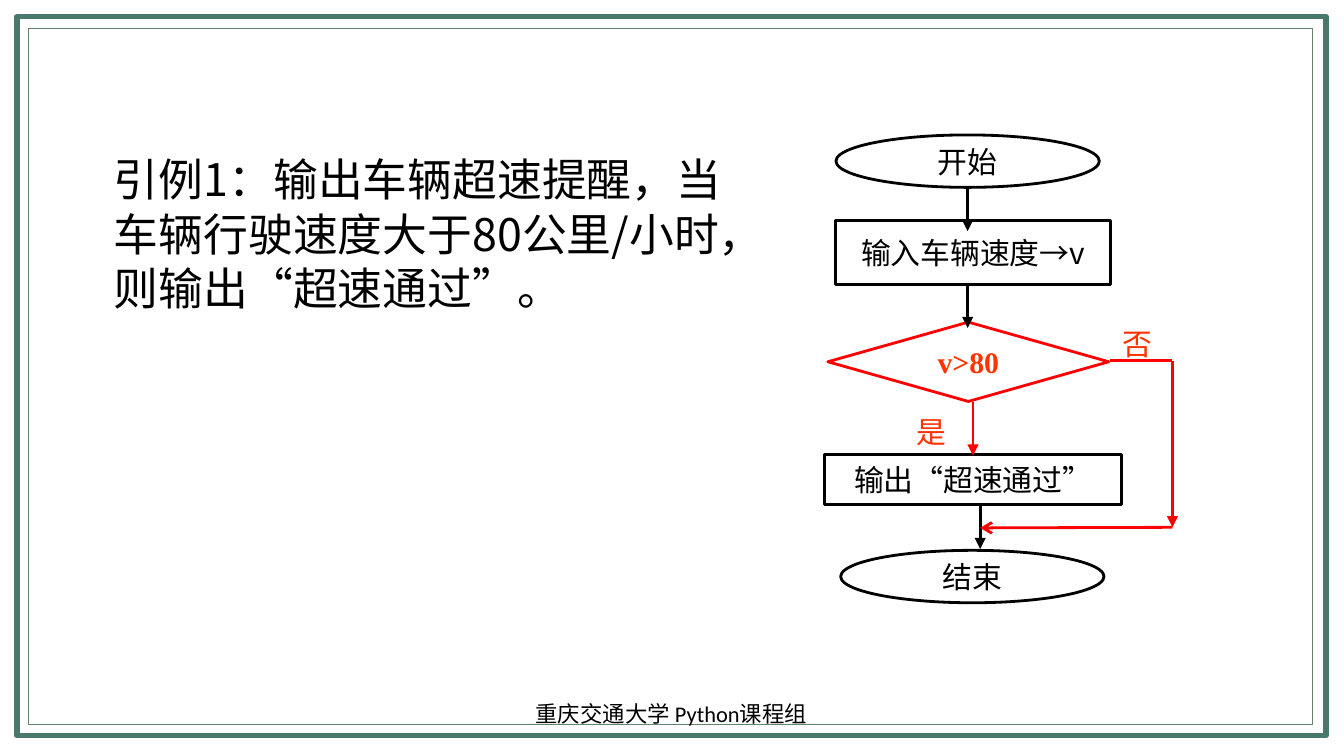
from lxml import etree
from pptx import Presentation
from pptx.dml.color import RGBColor
from pptx.enum.shapes import MSO_CONNECTOR, MSO_SHAPE
from pptx.enum.text import MSO_ANCHOR, PP_ALIGN
from pptx.oxml.ns import qn
from pptx.util import Inches, Pt

RECTANGLE, OVAL = MSO_SHAPE.RECTANGLE, MSO_SHAPE.OVAL
DECISION = MSO_SHAPE.FLOWCHART_DECISION
STRAIGHT = MSO_CONNECTOR.STRAIGHT
LEFT, CENTER = PP_ALIGN.LEFT, PP_ALIGN.CENTER
TOP, MIDDLE = MSO_ANCHOR.TOP, MSO_ANCHOR.MIDDLE

COLORS = {"frame": "49786D", "inner": "64846E", "black": "000000",
          "red": "FF0000", "label": "FF3300"}
CJK, SERIF, SANS = "Noto Sans CJK SC", "Times New Roman", "Calibri"

# Grid: 100 columns by 56.25 rows of a tenth of an inch (16:9)
COLUMN = ROW = Inches(0.1)

presentation = Presentation()
presentation.slide_width = 100 * COLUMN
presentation.slide_height = int(56.25 * ROW)
slide = presentation.slides.add_slide(presentation.slide_layouts[6])


def place(*cells):
    """Turn alternating columns and rows into lengths."""
    return [int(cell * unit) for cell, unit in zip(cells, (COLUMN, ROW) * 2)]


def write(shape, text, size, font, color, align=LEFT, anchor=TOP, wrap=True):
    """Put one formatted paragraph into a shape."""
    text_frame = shape.text_frame
    text_frame.text = text
    text_frame.word_wrap = wrap
    text_frame.vertical_anchor = anchor
    paragraph = text_frame.paragraphs[0]
    paragraph.alignment = align
    run = paragraph.runs[0]
    run.font.size = Pt(size)
    run.font.name = font
    run.font.color.rgb = RGBColor.from_string(COLORS[color])
    east_asian = etree.Element(qn("a:ea"), typeface=CJK)
    run.font._element.find(qn("a:latin")).addnext(east_asian)
    return paragraph


# Double frame and flowchart boxes: kind, cells, line colour, line width, text, font
outlines = [
    (RECTANGLE, (1.26, 1.24, 97.4, 53.5), "frame", 3, "", CJK),
    (RECTANGLE, (2.1, 2.1, 95.6, 51.8), "inner", 0.5, "", CJK),
    (OVAL, (62.2, 10.04, 19.6, 3.9), "black", 1.5, "开始", SERIF),
    (RECTANGLE, (62.15, 16.42, 20.5, 4.74), "black", 1.5, "输入车辆速度→v", CJK),
    (DECISION, (61.6, 23.97, 20.9, 5.9), "red", 1.5, "v>80", SERIF),
    (RECTANGLE, (61.36, 33.84, 22.1, 3.72), "black", 1.5, "输出“超速通过”", CJK),
    (OVAL, (62.55, 40.95, 19.6, 3.9), "black", 1.5, "结束", SERIF),
]
for kind, cells, color, width, text, font in outlines:
    shape = slide.shapes.add_shape(kind, *place(*cells))
    shape.shadow.inherit = False
    shape.fill.background()
    shape.line.color.rgb = RGBColor.from_string(COLORS[color])
    shape.line.width = Pt(width)
    if text:
        text_color = "label" if kind == DECISION else "black"
        paragraph = write(shape, text, 16, font, text_color, CENTER, MIDDLE, wrap=False)
        paragraph.runs[0].font.bold = kind == DECISION

# Flow lines: start and end cells, colour, arrowhead
flow_lines = [
    ((72, 13.94, 72, 17.2), "black", "triangle"),
    ((72, 21.16, 72, 24.4), "black", "triangle"),
    ((72.93, 37.56, 72.93, 40.85), "black", "triangle"),
    ((72.4, 29.9, 72.4, 33.9), "red", "triangle"),
    ((82.6, 26.84, 87.24, 26.84), "red", None),
    ((87.24, 26.84, 87.24, 39.24), "red", "triangle"),
    ((87.24, 39.24, 72.93, 39.28), "red", "arrow"),
]
for cells, color, arrowhead in flow_lines:
    connector = slide.shapes.add_connector(STRAIGHT, *place(*cells))
    connector.line.color.rgb = RGBColor.from_string(COLORS[color])
    connector.line.width = Pt(1.5)
    if arrowhead:
        etree.SubElement(connector.line._get_or_add_ln(), qn("a:tailEnd"), type=arrowhead)
    etree.SubElement(connector._element.spPr, qn("a:effectLst"))

# Branch labels
for text, cells in (("否", (82.54, 23.74, 4.6, 3.1)), ("是", (67.2, 30.3, 4.6, 3.1))):
    write(slide.shapes.add_textbox(*place(*cells)), text, 16, SERIF, "label")

# Example statement
statement = slide.shapes.add_textbox(*place(7.5, 10.8, 48.6, 17.8))
paragraph = write(statement, "引例1：输出车辆超速提醒，当车辆行驶速度大于80公里/小时，则输出“超速通过”。",
                  24, CJK, "black")
paragraph.line_spacing = Pt(29)

# Footer
footer = slide.shapes.add_textbox(*place(34.1, 51.6, 31.7, 3))
write(footer, "重庆交通大学 Python课程组", 12, SANS, "black", CENTER, MIDDLE)

presentation.save("out.pptx")
